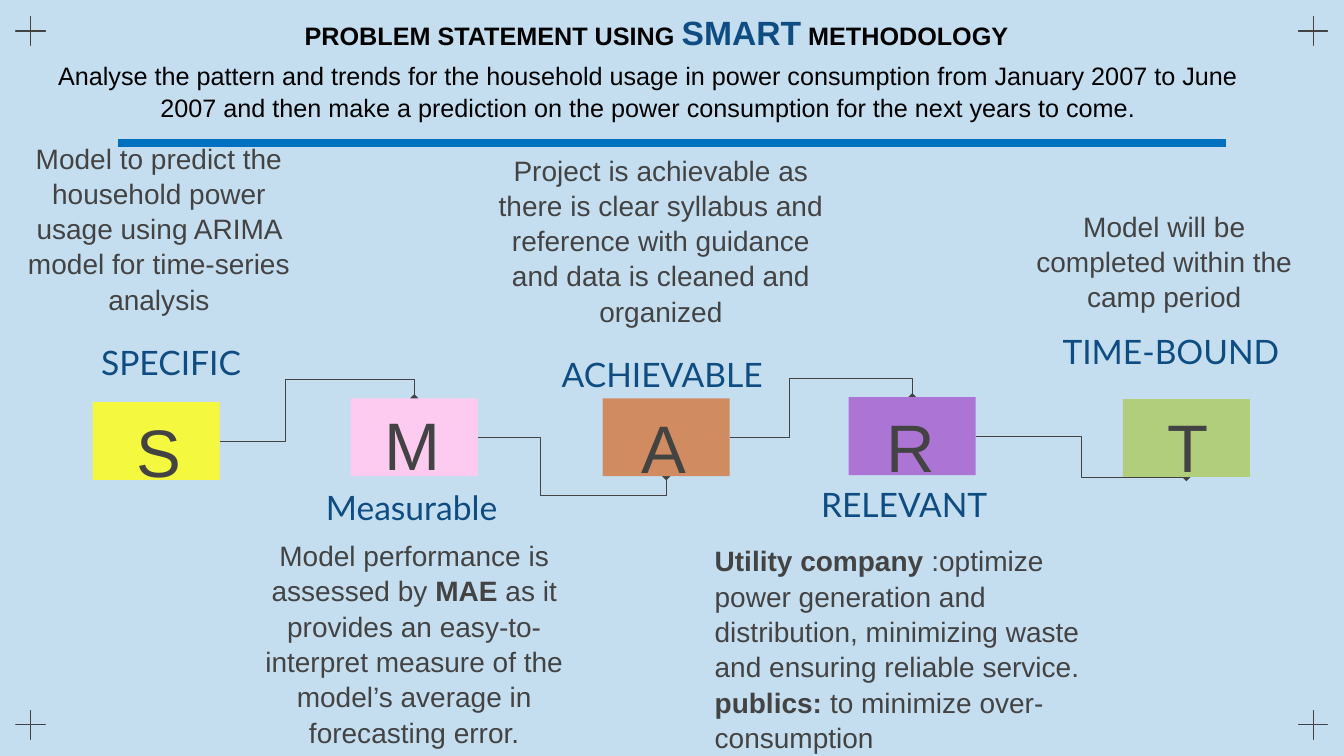
from dataclasses import dataclass

from lxml.etree import SubElement
from pptx import Presentation
from pptx.dml.color import RGBColor
from pptx.enum.shapes import MSO_CONNECTOR, MSO_SHAPE
from pptx.enum.text import MSO_ANCHOR, PP_ALIGN
from pptx.oxml.ns import qn
from pptx.util import Inches, Pt


@dataclass(frozen=True)
class Theme:
    """Colours, fonts and type sizes of the slide."""
    back: str = "C4DEF0"
    rule: str = "0070C0"
    accent: str = "0F4C81"
    ink: str = "434343"
    black: str = "000000"
    body: str = "Arial"
    label: str = "Lato"
    lead: int = 18
    note: int = 20
    head: int = 24
    letter: int = 48


@dataclass(frozen=True)
class Step:
    """One letter tile; label, note and letter boxes are offsets from its corner."""
    letter: str
    color: str
    at: tuple
    letter_at: tuple
    label: str
    label_at: tuple
    note: list
    note_box: tuple
    below: bool = False
    align: PP_ALIGN = PP_ALIGN.CENTER


T = Theme()
WIDTH, HEIGHT = Inches(13.333), Inches(7.5)
COL, ROW = WIDTH / 100, HEIGHT / 100
TILE_W, TILE_H = 9.45, 10.3
LABEL_W, LABEL_H = 22.05, 7.2
LETTER_H = 11.6
PAD = Inches(0.13)

STEPS = [
    Step("S", "F4F83E", (6.9, 53.2), (0.2, -0.4), "SPECIFIC", (-5.2, -9.7),
         [[("Model to predict the household power usage using ARIMA model for "
            "time-series analysis", False)]],
         (-6.1, -26.4, 22.05, 16.7)),
    Step("M", "FDCBF0", (26.1, 52.7), (-0.15, -0.8), "Measurable", (-6.5, 11.6),
         [[("Model performance is assessed by ", False), ("MAE", True),
           (" as it provides an easy-to-interpret measure of the model’s average in "
            "forecasting error.", False)]],
         (-7.8, 16.6, 25.05, 30.7), below=True),
    Step("A", "D08C60", (44.85, 52.7), (-0.2, -0.4), "ACHIEVABLE", (-6.6, -7.6),
         [[("Project is achievable as there is clear syllabus and reference with "
            "guidance and data is cleaned and organized", False)]],
         (-9.55, -24.4, 27.75, 16.8)),
    Step("R", "AC75D5", (63.15, 52.55), (-0.1, -0.4), "RELEVANT", (-6.9, 11.35),
         [[("Utility company ", True),
           (":optimize power generation and distribution, minimizing waste and "
            "ensuring reliable service.", False)],
          [("publics: ", True), ("to minimize over-consumption", False)]],
         (-10.95, 17.45, 31.35, 27.6), below=True, align=PP_ALIGN.LEFT),
    Step("T", "B1CE7C", (83.55, 52.8), (0.1, -0.7), "TIME-BOUND", (-7.45, -10.7),
         [[("Model will be completed within the camp period", False)]],
         (-7.95, -25.3, 22.05, 15.7)),
]
BENDS = [(0.337, 1.442), (0.332, 1.487), (0.326, 1.471), (0.5,)]


def rgb(code):
    """Turn a hex code into a colour."""
    return RGBColor.from_string(code)


def grid(x, y, *size):
    """Turn columns and rows into slide lengths."""
    return [round(n * unit) for n, unit in zip((x, y, *size), (COL, ROW) * 2)]


def add_text(s, box, paras, anchor=MSO_ANCHOR.TOP, align=PP_ALIGN.CENTER,
             pad=PAD, spacing=1.05):
    """Add a text box whose runs are (text, size, font, colour, bold)."""
    tf = s.shapes.add_textbox(*grid(*box)).text_frame
    tf.word_wrap = True
    tf.vertical_anchor = anchor
    if pad is not None:
        tf.margin_left = tf.margin_right = tf.margin_top = tf.margin_bottom = pad
    for i, runs in enumerate(paras):
        p = tf.add_paragraph() if i else tf.paragraphs[0]
        p.alignment = align
        p.line_spacing = spacing
        for text, size, font, color, bold in runs:
            r = p.add_run()
            r.text = text
            r.font.size = Pt(size)
            r.font.name = font
            r.font.bold = bold
            r.font.color.rgb = rgb(color)


def add_line(s, kind, start, end, color, width):
    """Add a connector without shadow between two grid points."""
    c = s.shapes.add_connector(kind, *grid(*start), *grid(*end))
    c.line.color.rgb = rgb(color)
    c.line.width = Pt(width)
    SubElement(c._element.spPr, qn("a:effectLst"))
    return c


def add_corners(s, box, size):
    """Place a thin plus in each corner of the box."""
    left, top, width, height = box
    w, h = size
    for y in (top, top + height - h):
        for x in (left, left + width - w):
            sp = s.shapes.add_shape(MSO_SHAPE.MATH_PLUS, *grid(x, y, w, h))
            sp.adjustments[0] = 0.007
            sp.shadow.inherit = False
            sp.fill.background()
            sp.line.color.rgb = rgb(T.ink)
            sp.line.width = Pt(0.75)


def add_header(s, box):
    """Place the title, the problem statement and the rule."""
    x, y, w, h = box
    title = [("PROBLEM STATEMENT USING ", T.lead, T.body, T.black, True),
             ("SMART", T.head, T.body, T.accent, True),
             (" METHODOLOGY", T.lead, T.body, T.black, True)]
    lead = ("Analyse the pattern and trends for the household usage in power consumption "
            "from January 2007 to June 2007 and then make a prediction on the power "
            "consumption for the next years to come.")
    add_text(s, (x + 5.25, y, 83.8, 11), [title])
    add_text(s, (x, y + 6.5, w, 11), [[(lead, T.lead, T.body, T.black, False)]])
    add_line(s, MSO_CONNECTOR.STRAIGHT, (x + 7.1, y + h), (x + 89.5, y + h), T.rule, 6)


def add_link(s, step, following, bends):
    """Join a tile's right side to the next tile with a bent line."""
    (x, y), (nx, ny) = step.at, following.at
    end_y = ny if following.letter in "MR" else ny + TILE_H
    c = add_line(s, MSO_CONNECTOR.ELBOW, (x + TILE_W, y + TILE_H / 2),
                 (nx + TILE_W / 2, end_y), T.ink, 0.75)
    geom = c._element.spPr.find(qn("a:prstGeom"))
    geom.set("prst", f"bentConnector{len(bends) + 2}")
    guides = geom.find(qn("a:avLst"))
    for i, bend in enumerate(bends, 1):
        SubElement(guides, qn("a:gd"), name=f"adj{i}", fmla=f"val {round(bend * 100000)}")
    SubElement(c.line._get_or_add_ln(), qn("a:tailEnd"), type="diamond")


def add_step(s, step):
    """Place a tile with its letter, label and note."""
    x, y = step.at
    sp = s.shapes.add_shape(MSO_SHAPE.RECTANGLE, *grid(x, y, TILE_W, TILE_H))
    sp.shadow.inherit = False
    sp.fill.solid()
    sp.fill.fore_color.rgb = rgb(step.color)
    sp.line.fill.background()

    dx, dy = step.letter_at
    add_text(s, (x + dx, y + dy, TILE_W, LETTER_H),
             [[(step.letter, T.letter, T.body, T.ink, False)]], pad=None, spacing=1.08)

    near, far = MSO_ANCHOR.TOP, MSO_ANCHOR.BOTTOM
    dx, dy = step.label_at
    add_text(s, (x + dx, y + dy, LABEL_W, LABEL_H),
             [[(step.label, T.head, T.label, T.accent, False)]],
             far if step.below else near, spacing=1.0)

    dx, dy, w, h = step.note_box
    paras = [[(text, T.note, T.body, T.ink, bold) for text, bold in runs]
             for runs in step.note]
    add_text(s, (x + dx, y + dy, w, h), paras, near if step.below else far, step.align)


def main():
    """Build and save the slide."""
    prs = Presentation()
    prs.slide_width, prs.slide_height = WIDTH, HEIGHT
    s = prs.slides.add_slide(prs.slide_layouts[6])
    s.background.fill.solid()
    s.background.fill.fore_color.rgb = rgb(T.back)
    add_corners(s, (0.8, 1.5, 98.4, 97), (2.95, 5.25))
    add_header(s, (1.7, -0.4, 93, 19.33))
    for step, following, bends in zip(STEPS, STEPS[1:], BENDS):
        add_link(s, step, following, bends)
    for step in STEPS:
        add_step(s, step)
    prs.save("out.pptx")


if __name__ == "__main__":
    main()
